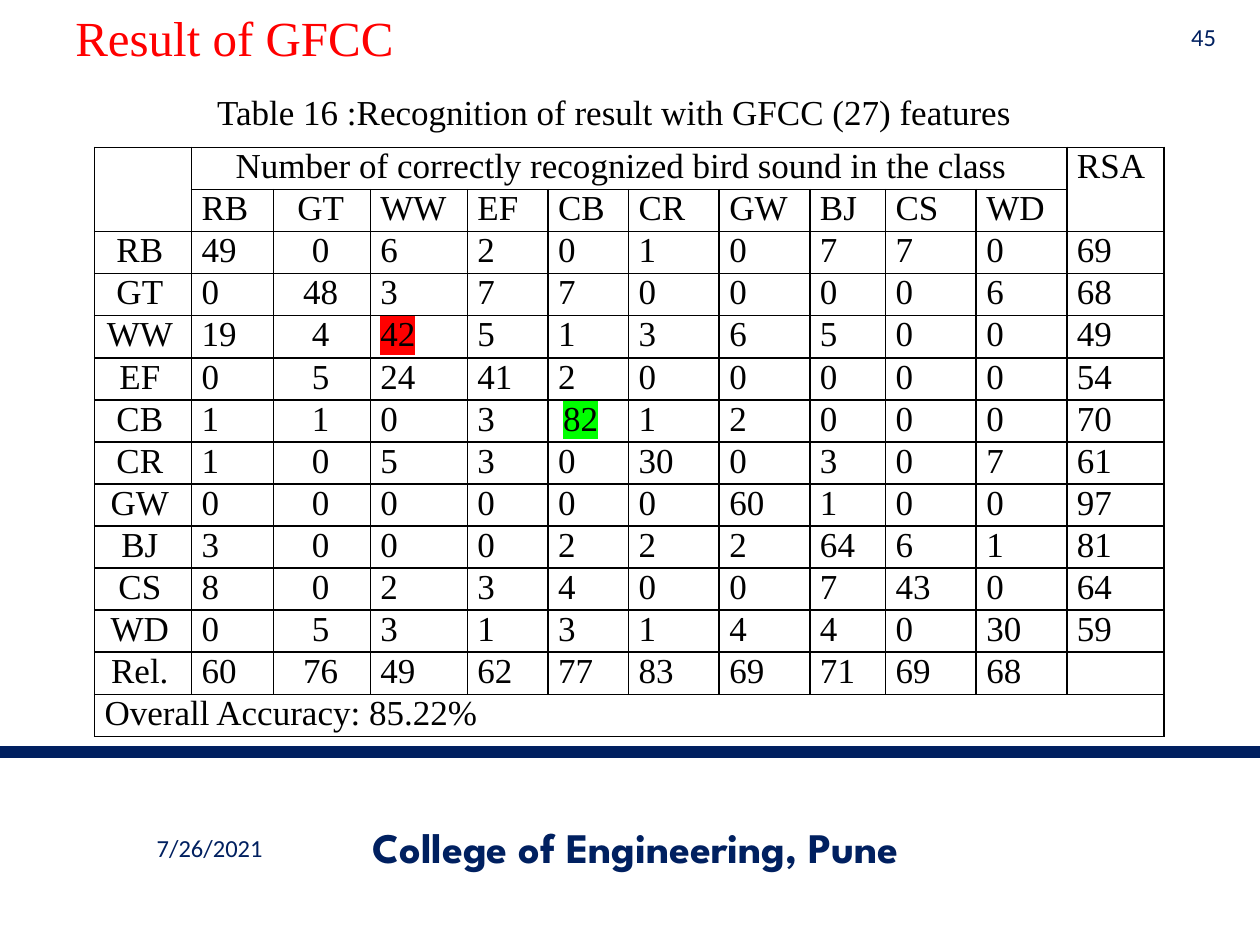
from lxml import etree
from pptx import Presentation
from pptx import util as u
from pptx.dml.color import RGBColor
from pptx.enum import shapes, text
from pptx.oxml.ns import qn

# Content
BIRDS = ["RB", "GT", "WW", "EF", "CB", "CR", "GW", "BJ", "CS", "WD"]
HEADING = "Number of correctly recognized bird sound in the class"
RESULTS = [  # ten recognition counts, then RSA
    [49, 0, 6, 2, 0, 1, 0, 7, 7, 0, 69],
    [0, 48, 3, 7, 7, 0, 0, 0, 0, 6, 68],
    [19, 4, 42, 5, 1, 3, 6, 5, 0, 0, 49],
    [0, 5, 24, 41, 2, 0, 0, 0, 0, 0, 54],
    [1, 1, 0, 3, 82, 1, 2, 0, 0, 0, 70],
    [1, 0, 5, 3, 0, 30, 0, 3, 0, 7, 61],
    [0, 0, 0, 0, 0, 0, 60, 1, 0, 0, 97],
    [3, 0, 0, 0, 2, 2, 2, 64, 6, 1, 81],
    [8, 0, 2, 3, 4, 0, 0, 7, 43, 0, 64],
    [0, 5, 3, 1, 3, 1, 4, 4, 0, 30, 59],
]
RELIABILITY = [60, 76, 49, 62, 77, 83, 69, 71, 69, 68]
ACCURACY = "Overall Accuracy: 85.22%"
COLUMN_WIDTHS = [0.77, 0.65, 0.77, 0.77, 0.64, 0.64, 0.72, 0.72, 0.6, 0.72, 0.72, 0.77]
TABLE_BOX = (0.75, 1.17, 8.5, 4.67)

THEME = {
    "ink": "000000", "navy": "002060", "red": "FF0000", "green": "00FF00",
    "serif": "Times New Roman", "sans": "Calibri", "display": "League Spartan",
    "title": 28, "college": 24, "body": 20, "small": 14,
}
HIGHLIGHTS = {(4, 3): "red", (6, 5): "green"}
INDENTS = {(0, 1): 0.35, (6, 5): 0.12}
CENTERED_INDENTS = {0: 0.02, 2: 0.05}  # by column

LEFT, CENTER, RIGHT = text.PP_ALIGN.LEFT, text.PP_ALIGN.CENTER, text.PP_ALIGN.RIGHT
MIDDLE, TOP = text.MSO_ANCHOR.MIDDLE, text.MSO_ANCHOR.TOP
CAPTIONS = [  # wording, box, size, font, colour, bold, alignment, anchor
    ("Result of GFCC", (0.5, -0.33, 9, 1.25), "title", "serif", "red", False, LEFT, MIDDLE),
    ("7/26/2021", (0.5, 6.53, 2.33, 0.4), "small", "sans", "navy", False, CENTER, MIDDLE),
    ("College of Engineering, Pune", (2.42, 6.52, 5.25, 0.4), "college", "display", "navy",
     True, CENTER, MIDDLE),
    ("45", (9.25, 0.15, 0.5, 0.28), "small", "sans", "navy", False, RIGHT, MIDDLE),
    ("Table 16 :Recognition of result with GFCC (27) features", (0.5, 0.67, 8.75, 0.44),
     "body", "serif", "ink", False, CENTER, TOP),
]


def color(name):
    return RGBColor.from_string(THEME[name])


def write(frame, wording, size, font, ink, bold, align):
    paragraph = frame.paragraphs[0]
    paragraph.alignment = align
    run = paragraph.add_run()
    run.text = wording
    run.font.size = u.Pt(THEME[size])
    run.font.name = THEME[font]
    run.font.color.rgb = color(ink)
    run.font.bold = bold
    return run


def highlight(run, name):
    # The highlight sits between the fill and the typeface
    mark = etree.Element(qn("a:highlight"))
    etree.SubElement(mark, qn("a:srgbClr"), val=THEME[name])
    run._r.rPr.find(qn("a:latin")).addprevious(mark)


def add_borders(cell):
    properties = cell._tc.get_or_add_tcPr()
    for side in ("a:lnL", "a:lnR", "a:lnT", "a:lnB"):
        edge = etree.SubElement(properties, qn(side), w=str(u.Pt(1)))
        fill = etree.SubElement(edge, qn("a:solidFill"))
        etree.SubElement(fill, qn("a:srgbClr"), val=THEME["ink"])


def add_results(slide):
    rows = [["", HEADING] + [""] * 9 + ["RSA"], ["", *BIRDS, ""]]
    rows += [[bird, *counts] for bird, counts in zip(BIRDS, RESULTS)]
    rows += [["Rel.", *RELIABILITY, ""], [ACCURACY] + [""] * 11]
    last = len(rows) - 1

    table = slide.shapes.add_table(len(rows), len(COLUMN_WIDTHS),
                                   *map(u.Inches, TABLE_BOX)).table
    table.first_row = table.horz_banding = False
    for column, width in zip(table.columns, COLUMN_WIDTHS):
        column.width = u.Inches(width)
    for row in table.rows:
        row.height = u.Inches(TABLE_BOX[3] / len(rows))

    for r, row in enumerate(rows):
        for c, value in enumerate(row):
            cell = table.cell(r, c)
            add_borders(cell)
            cell.fill.background()
            centered = 0 < r < last and c in CENTERED_INDENTS
            indent = CENTERED_INDENTS[c] if centered else INDENTS.get((r, c), 0.08)
            cell.margin_left = u.Inches(indent)
            cell.margin_right = u.Inches(0.07 if centered else 0)
            cell.margin_top = cell.margin_bottom = 0
            if value != "":
                run = write(cell.text_frame, str(value), "body", "serif", "ink", False,
                            CENTER if centered else LEFT)
                if (r, c) in HIGHLIGHTS:
                    highlight(run, HIGHLIGHTS[r, c])

    # Merged headings and accuracy row
    for start, end in [((0, 0), (1, 0)), ((0, 1), (0, 10)), ((0, 11), (1, 11)),
                       ((last, 0), (last, 11))]:
        table.cell(*start).merge(table.cell(*end))


def main():
    deck = Presentation()
    deck.slide_width, deck.slide_height = u.Inches(10), u.Inches(7.5)
    slide = deck.slides.add_slide(deck.slide_layouts[6])

    # Footer rule
    rule = slide.shapes.add_connector(shapes.MSO_CONNECTOR.STRAIGHT, 0, u.Inches(5.97),
                                      u.Inches(10), u.Inches(5.97))
    rule.line.color.rgb = color("navy")
    rule.line.width = u.Pt(6.5)
    etree.SubElement(rule._element.spPr, qn("a:effectLst"))

    # Title, footer and table caption
    for wording, box, size, font, ink, bold, align, anchor in CAPTIONS:
        frame = slide.shapes.add_textbox(*map(u.Inches, box)).text_frame
        frame.word_wrap = True
        frame.vertical_anchor = anchor
        write(frame, wording, size, font, ink, bold, align)

    add_results(slide)
    deck.save("out.pptx")


if __name__ == "__main__":
    main()
